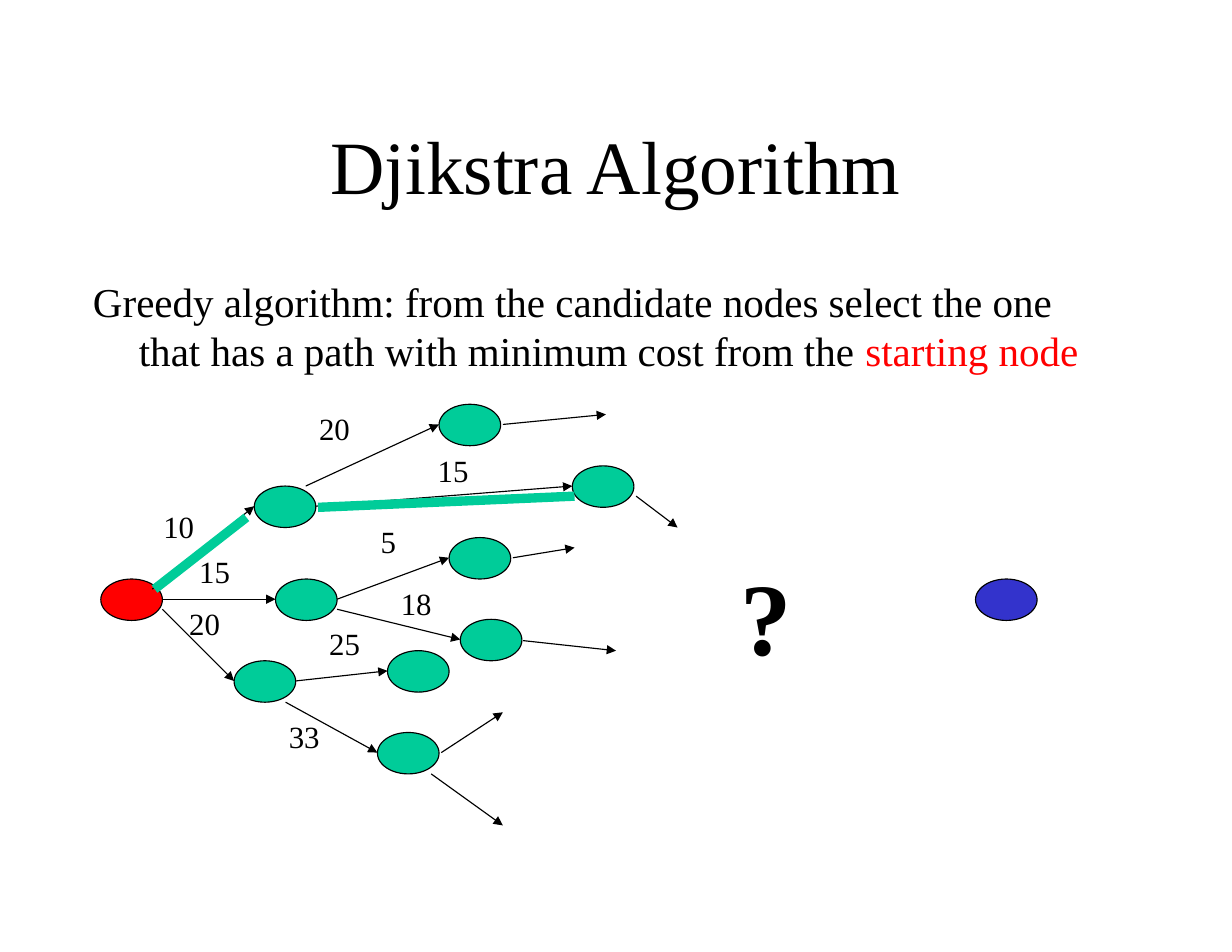
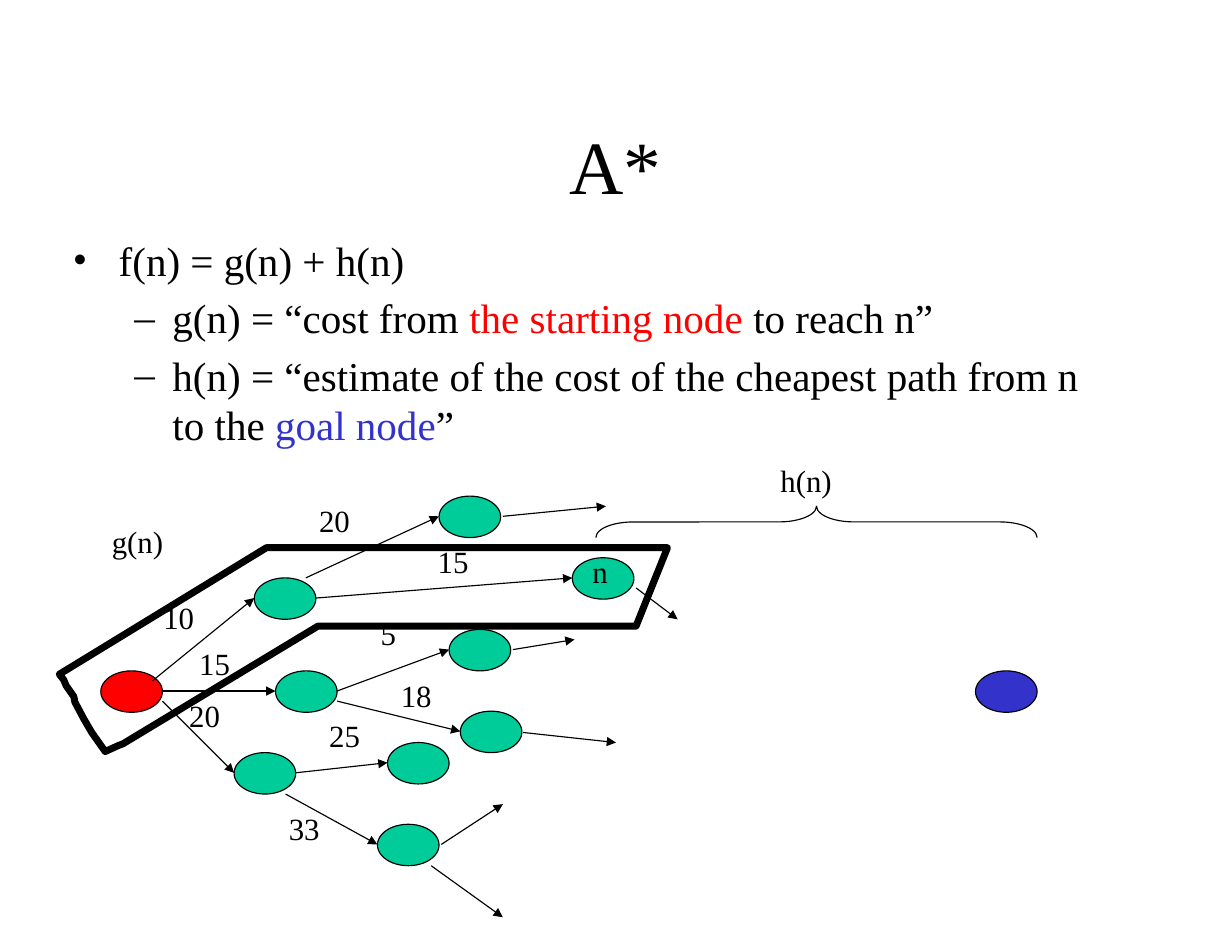
from lxml import etree
from pptx import Presentation
from pptx import util as u
from pptx.dml.color import RGBColor
from pptx.enum import shapes, text
from pptx.oxml.ns import qn

PX = 9144  # 100 px to the inch
FONT = "Times New Roman"
BLACK, RED, BLUE, GREEN = "000000", "FF0000", "3333CC", "00CC99"
NODE_WIDTH, NODE_HEIGHT = 55, 37
TREE_SHIFT = 82  # how much lower the tree sits on the second slide

# Search tree on the first slide: left and top of each node
NODES = {
    "start": (90, 517), "goal": (871, 517),
    "upper": (227, 434), "middle": (246, 517), "lower": (209, 590),
    "upper a": (392, 361), "upper b": (511, 416),
    "middle a": (401, 480), "middle b": (411, 553),
    "lower a": (346, 581), "lower b": (337, 654),
}
NODE_COLOURS = {"start": RED, "goal": BLUE}
# Source, offset of the arrow within the source, target
EDGES = [
    ("start", 46, 9, "upper"), ("start", 55, 18, "middle"),
    ("start", 55, 27, "lower"), ("upper", 46, 0, "upper a"),
    ("upper", 55, 18, "upper b"), ("middle", 55, 18, "middle a"),
    ("middle", 55, 27, "middle b"), ("lower", 55, 18, "lower a"),
    ("lower", 46, 37, "lower b"),
]
# Source, offset within the source, run of an arrow with no target
OPEN_EDGES = [
    ("upper a", 57, 18, 92, -9), ("upper b", 57, 27, 37, 28),
    ("middle a", 57, 18, 55, -9), ("middle b", 56, 19, 83, 9),
    ("lower b", 57, 18, 55, -36), ("lower b", 48, 37, 64, 46),
]
# Cost, left, top
FIRST_COSTS = [("10", 136, 448), ("15", 168, 489), ("20", 159, 535)]
LATER_COSTS = [("20", 275, 361), ("15", 381, 398), ("5", 330, 462),
               ("18", 348, 517), ("25", 284, 553), ("33", 248, 636)]
# Outline around the path whose cost is g(n)
PATH_OUTLINE = [
    (94, 671), (82, 654), (75, 642), (67, 627), (66, 622), (59, 612),
    (57, 607), (53, 602), (238, 489), (596, 489), (568, 559), (284, 559),
    (110, 664), (105, 666),
]


def colour(value):
    return RGBColor.from_string(value)


def px(*lengths):
    return [length * PX for length in lengths]


class Deck:
    def __init__(self, width, height):
        self.presentation = Presentation()
        self.presentation.slide_width, self.presentation.slide_height = px(width, height)
        self.slide = None

    def add_slide(self, title):
        layout = self.presentation.slide_layouts[1]
        self.slide = self.presentation.slides.add_slide(layout)
        shape = self.slide.shapes.title
        self.place(shape, 82, 76, 935, 142)
        shape.text_frame.text = title
        shape.text_frame.auto_size = text.MSO_AUTO_SIZE.NONE
        shape.text_frame.vertical_anchor = text.MSO_ANCHOR.MIDDLE
        paragraph = shape.text_frame.paragraphs[0]
        paragraph.alignment = text.PP_ALIGN.CENTER
        self.style(paragraph.runs[0], 48.4)

    def place(self, shape, *box):
        shape.left, shape.top, shape.width, shape.height = px(*box)

    def style(self, run, size, value=BLACK, bold=False):
        run.font.name = FONT
        run.font.size = u.Pt(size)
        run.font.bold = bold
        run.font.color.rgb = colour(value)

    def outline(self, shape, value=BLACK, width=0.75):
        shape.line.color.rgb = colour(value)
        shape.line.width = u.Pt(width)

    def body(self, left, top, items):
        """Each item is a level, a bullet or None, and (words, colour) parts."""
        shape = self.slide.placeholders[1]
        self.place(shape, left, top, 935, 495)
        frame = shape.text_frame
        frame.auto_size = text.MSO_AUTO_SIZE.NONE
        for number, (level, bullet, parts) in enumerate(items):
            paragraph = frame.add_paragraph() if number else frame.paragraphs[0]
            paragraph.level = level
            for words, value in parts:
                run = paragraph.add_run()
                run.text = words
                self.style(run, 26.4, value)
            margin, indent = px(*((41, -41), (89, -34))[level])
            properties = paragraph._p.get_or_add_pPr()
            properties.set("marL", str(margin))
            properties.set("indent", str(indent))
            if bullet:
                etree.SubElement(properties, qn("a:buFont")).set("typeface", FONT)
                etree.SubElement(properties, qn("a:buChar")).set("char", bullet)
            else:
                etree.SubElement(properties, qn("a:buNone"))

    def label(self, words, left, top, width, height=43, size=19.8, bold=False, wrap=False):
        frame = self.slide.shapes.add_textbox(*px(left, top, width, height)).text_frame
        frame.word_wrap = wrap
        frame.auto_size = text.MSO_AUTO_SIZE.SHAPE_TO_FIT_TEXT
        frame.text = words
        self.style(frame.paragraphs[0].runs[0], size, bold=bold)

    def node(self, left, top, value):
        shape = self.slide.shapes.add_shape(
            shapes.MSO_SHAPE.OVAL, *px(left, top, NODE_WIDTH, NODE_HEIGHT))
        shape.shadow.inherit = False
        shape.fill.solid()
        shape.fill.fore_color.rgb = colour(value)
        self.outline(shape)

    def line(self, *ends, value=BLACK, width=0.75, arrow=True):
        connector = self.slide.shapes.add_connector(
            shapes.MSO_CONNECTOR.STRAIGHT, *px(*ends))
        self.outline(connector, value, width)
        properties = connector._element.spPr
        if arrow:
            tail = etree.SubElement(properties.find(qn("a:ln")), qn("a:tailEnd"))
            tail.set("type", "triangle")
        etree.SubElement(properties, qn("a:effectLst"))

    def freeform(self, points, width):
        builder = self.slide.shapes.build_freeform(*points[0], scale=PX)
        builder.add_line_segments(points[1:], close=True)
        shape = builder.convert_to_shape()
        shape.shadow.inherit = False
        shape.fill.background()
        self.outline(shape, width=width)

    def brace(self, left, top, width, height):
        shape = self.slide.shapes.add_shape(
            shapes.MSO_SHAPE.LEFT_BRACE, *px(left, top, width, height))
        shape.shadow.inherit = False
        shape.rotation = 90
        shape.adjustments[0] = 1.194
        shape.fill.background()
        self.outline(shape)

    def search_tree(self, shift=0):
        places = {name: (left, top + shift) for name, (left, top) in NODES.items()}
        for name, (left, top) in places.items():
            self.node(left, top, NODE_COLOURS.get(name, GREEN))
        for source, across, down, target in EDGES:
            left, top = places[source]
            end_x, end_y = places[target]
            self.line(left + across, top + down, end_x, end_y + NODE_HEIGHT // 2)
        for source, across, down, run_x, run_y in OPEN_EDGES:
            x, y = places[source][0] + across, places[source][1] + down
            self.line(x, y, x + run_x, y + run_y)
        for cost, left, top in FIRST_COSTS:
            self.label(cost, left, top + shift, 48)
        for cost, left, top in LATER_COSTS:
            self.label(cost, left, top + shift, 59, wrap=True)


def main():
    deck = Deck(1100, 850)

    # Greedy choice by cost from the start
    deck.add_slide("Djikstra Algorithm")
    deck.body(73, 242, [
        (0, None, [("Greedy algorithm: from the candidate nodes select the one "
                    "that has a path with minimum cost from the ", BLACK),
                   ("starting node", RED)]),
    ])
    deck.search_tree()
    deck.label("?", 651, 489, 66, 121, size=66, bold=True)
    for ends in ((138, 526, 220, 462), (284, 453, 513, 443)):
        deck.line(*ends, value=GREEN, width=6, arrow=False)

    # Cost so far plus estimate to the goal
    deck.add_slide("A*")
    deck.body(55, 205, [
        (0, "•", [("f(n) = g(n) + h(n)", BLACK)]),
        (1, "–", [("g(n) = “cost from ", BLACK), ("the starting node", RED),
                  (" to reach n”", BLACK)]),
        (1, "–", [("h(n) = “estimate of the cost of the cheapest path from n to the ",
                   BLACK), ("goal node", BLUE), ("”", BLACK)]),
    ])
    deck.search_tree(TREE_SHIFT)
    deck.label("n", 519, 489, 34)
    deck.freeform(PATH_OUTLINE, 4.5)
    deck.label("g(n)", 90, 462, 66)
    deck.brace(715, 269, 28, 394)
    deck.label("h(n)", 687, 407, 66)

    deck.presentation.save("out.pptx")


if __name__ == "__main__":
    main()
